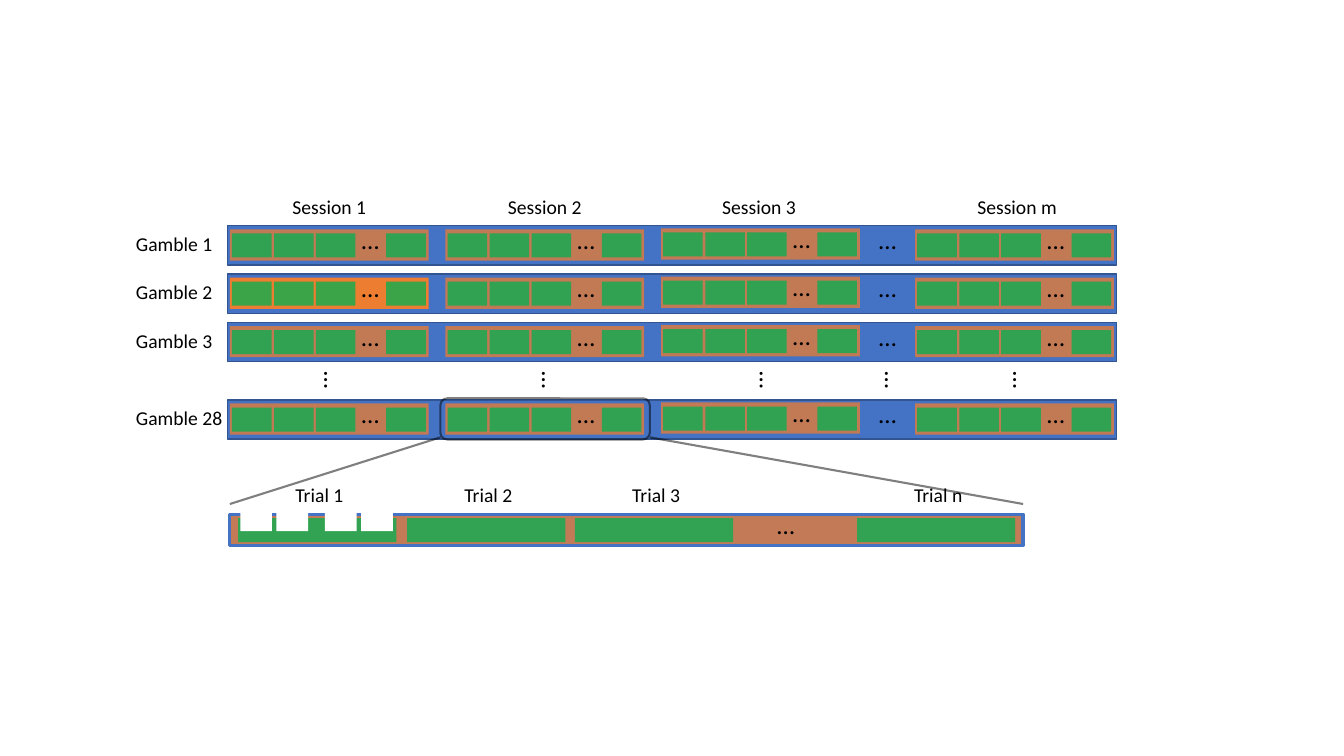
from dataclasses import dataclass
from lxml import etree
from pptx import Presentation
from pptx.dml.color import RGBColor
from pptx.enum import shapes, text
from pptx.oxml.ns import qn
from pptx.util import Pt


@dataclass(frozen=True)
class Theme:
    font: str = "Calibri"
    label_size: int = 14
    dots_size: int = 18
    black: str = "000000"
    white: str = "FFFFFF"
    bar: str = "4472C4"
    bar_edge: str = "325491"
    session: str = "ED7D31"
    trial: str = "00B050"
    strip: str = "C27B56"
    strip_trial: str = "31A352"


THEME = Theme()
RECTANGLE = shapes.MSO_SHAPE.RECTANGLE

# Session name, left offset in the bar, top offset in the bar, label shift
SESSIONS = [("Session 1", 1.5, 2.5, 0), ("Session 2", 155.5, 2.5, 0),
            ("Session 3", 309.5, 1.8, -1), ("Session m", 491, 2.5, 1.8)]
SESSION_WIDTH, SESSION_HEIGHT = 142, 22.3
GAP_DOTS_LEFT = 458
# Gamble name and top of its bar
GAMBLES = [("Gamble 1", 161.3), ("Gamble 2", 195.8),
           ("Gamble 3", 230.4), ("Gamble 28", 285.7)]
TRIALS = [("Trial 1", 6), ("Trial 2", 126.7), ("Trial 3", 246.5), ("Trial n", 448)]
BAR_LEFT, BAR_WIDTH, BAR_HEIGHT = 162.7, 635, 28
STRIP_BOX = (164.2, 367.2, 566.6, 22.3)


def set_alpha(color_format_parent, percent):
    """Make every solid colour below an XML element partly transparent."""
    for color in color_format_parent.iter(qn("a:srgbClr")):
        etree.SubElement(color, qn("a:alpha")).set("val", str(percent * 1000))


def add_box(parent, box, fill=None, alpha=100, edge=None, edge_width=1, kind=RECTANGLE):
    shape = parent.add_shape(kind, *map(Pt, box))
    shape.shadow.inherit = False
    if fill:
        shape.fill.solid()
        shape.fill.fore_color.rgb = RGBColor.from_string(fill)
    else:
        shape.fill.background()
    if edge:
        shape.line.color.rgb = RGBColor.from_string(edge)
        shape.line.width = Pt(edge_width)
    else:
        shape.line.fill.background()
    if alpha < 100:
        set_alpha(shape.element.spPr, alpha)
    return shape


def add_text(parent, box, words, size=THEME.label_size, align=text.PP_ALIGN.LEFT, wrap=True):
    shape = parent.add_textbox(*map(Pt, box))
    frame = shape.text_frame
    frame.word_wrap = wrap
    paragraph = frame.paragraphs[0]
    paragraph.text = words
    paragraph.alignment = align
    paragraph.font.name = THEME.font
    paragraph.font.size = Pt(size)
    paragraph.font.color.rgb = RGBColor.from_string(THEME.black)
    return shape


def add_dots(parent, left, top):
    add_text(parent, (left, top, 27.4, 28.8), "…", THEME.dots_size, wrap=False)


def add_vertical_dots(parent, left, top):
    shape = add_text(parent, (left, top, 36, 19.4), "…", THEME.dots_size,
                     text.PP_ALIGN.CENTER, wrap=False)
    shape.text_frame.vertical_anchor = text.MSO_ANCHOR.MIDDLE
    shape.element.txBody.find(qn("a:bodyPr")).set("vert", "vert")


def add_session(parent, left, top, alpha):
    """Session block: three trials, dots, and the last trial."""
    add_box(parent, (left, top, SESSION_WIDTH, SESSION_HEIGHT), THEME.session, alpha)
    for offset in (1.5, 31.6, 61.5, 111.7):
        add_box(parent, (left + offset, top + 2.9, 28.3, 17.2), THEME.trial, 75)
    add_dots(parent, left + 87.1, top - 7.2)


def add_gamble(slide, box, name, highlighted):
    """Gamble row: label, blue bar and its sessions."""
    left, top, width, height = box
    group = slide.shapes.add_group_shape().shapes
    add_box(group, box, THEME.bar, edge=THEME.bar_edge)
    for index, (_, offset, drop, _) in enumerate(SESSIONS):
        alpha = 100 if highlighted and index == 0 else 75
        add_session(group, left + offset, top + drop, alpha)
    add_dots(group, left + GAP_DOTS_LEFT, top - 4.6)
    add_text(slide.shapes, (left - 72.7, top + 0.7, 82, 24.2), name)


def add_session_labels(slide, left, top):
    for name, offset, _, shift in SESSIONS:
        add_text(slide.shapes, (left + offset + shift, top, SESSION_WIDTH, 24.2), name,
                 align=text.PP_ALIGN.CENTER)


def add_zoom(slide, box, strip_box):
    """Outline round one session, with lines down to the trial strip."""
    left, top, width, height = box
    strip_left, strip_top, strip_width, _ = strip_box
    add_box(slide.shapes, box, alpha=50, edge=THEME.black, edge_width=1.5,
            kind=shapes.MSO_SHAPE.ROUNDED_RECTANGLE)
    for start, end in ((left, strip_left), (left + width, strip_left + strip_width)):
        line = slide.shapes.add_connector(
            shapes.MSO_CONNECTOR.STRAIGHT, Pt(start), Pt(top + height - 1.5),
            Pt(end), Pt(strip_top - 7.2))
        line.line.color.rgb = RGBColor.from_string(THEME.black)
        line.line.width = Pt(1.5)
        properties = line._element.spPr
        set_alpha(properties, 50)
        etree.SubElement(properties, qn("a:effectLst"))


def add_trial_strip(slide, box):
    """Enlarged session: labelled trials and the white cells of the first one."""
    left, top, width, height = box
    group = slide.shapes.add_group_shape().shapes
    add_box(group, box, THEME.strip, edge=THEME.bar, edge_width=2.25)
    for name, offset in TRIALS:
        add_box(group, (left + offset, top + 2.9, 113, 17.2), THEME.strip_trial)
        add_text(slide.shapes, (left + offset + 1.5, top - 26, 113, 24.2), name,
                 align=text.PP_ALIGN.CENTER)
    add_text(group, (left + 383.8, top - 7.2, 108, 28.8), "…", THEME.dots_size, wrap=False)
    for offset in (7.5, 33.3, 67.9, 93.8):
        add_box(slide.shapes, (left + offset, top - 2.2, 22.6, 14.4), THEME.white)


def main():
    presentation = Presentation()
    presentation.slide_width, presentation.slide_height = Pt(960), Pt(540)
    slide = presentation.slides.add_slide(presentation.slide_layouts[6])

    # Gamble rows
    add_session_labels(slide, BAR_LEFT, 135.7)
    for name, top in GAMBLES:
        add_gamble(slide, (BAR_LEFT, top, BAR_WIDTH, BAR_HEIGHT), name, name == "Gamble 2")
    for left in (221, 376.5, 532, 621.4, 713):
        add_vertical_dots(slide.shapes, left, 262)

    # Zoom from Session 2 of the last gamble to its trials
    session_left = BAR_LEFT + SESSIONS[1][1]
    zoom_box = (session_left - 3.6, GAMBLES[-1][1] - 1.2, SESSION_WIDTH + 7.6, 29.4)
    add_zoom(slide, zoom_box, STRIP_BOX)
    add_trial_strip(slide, STRIP_BOX)
    presentation.save("out.pptx")


main()
